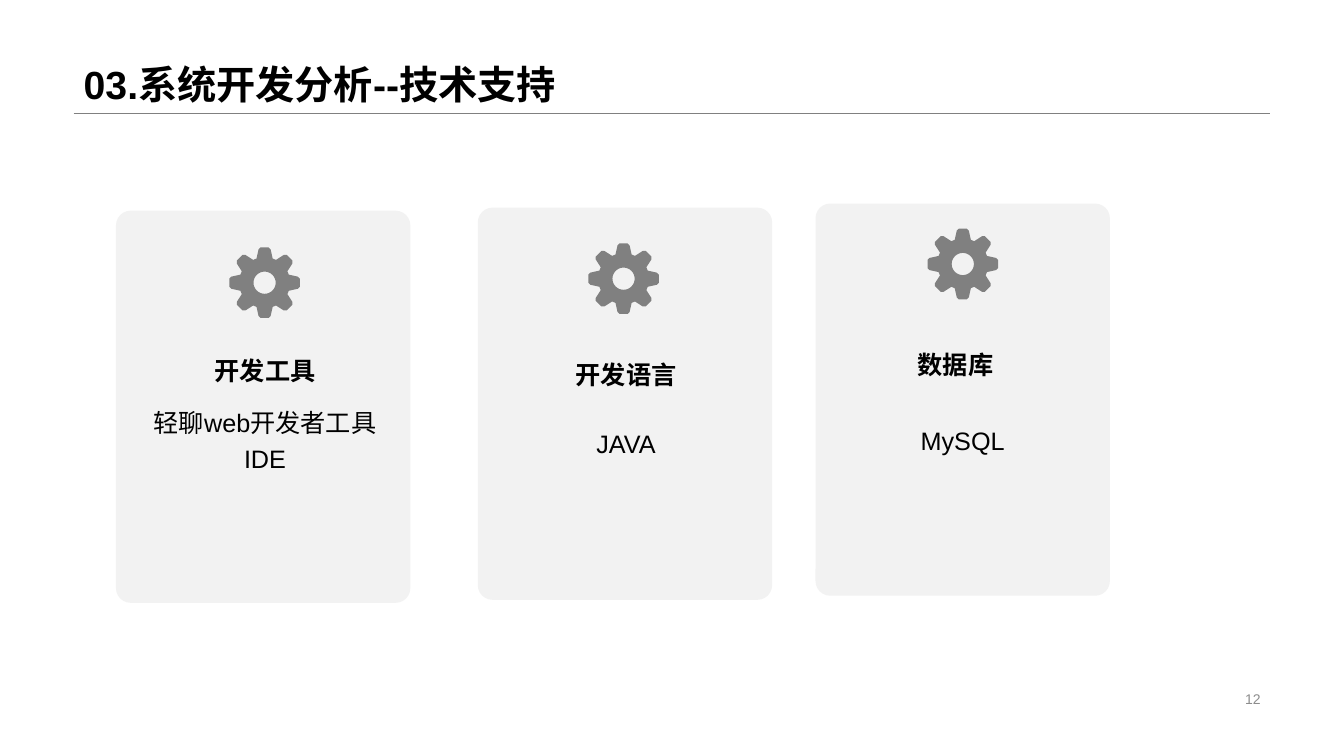
import math

import pptx
import pptx.dml.color
import pptx.enum.shapes
import pptx.enum.text
import pptx.oxml.ns
import pptx.util

RGBColor = pptx.dml.color.RGBColor
ALIGN = pptx.enum.text.PP_ALIGN
ANCHOR = pptx.enum.text.MSO_ANCHOR

BLACK = RGBColor(0x00, 0x00, 0x00)
GRAY = RGBColor(0x80, 0x80, 0x80)
NUMBER_GRAY = RGBColor(0x8C, 0x8C, 0x8C)
CARD_GRAY = RGBColor(0xF2, 0xF2, 0xF2)

FONT = "Arial"
WIDTH = pptx.util.Inches(13.33)
HEIGHT = pptx.util.Inches(7.5)
MARGIN, CONTENT_W, RULE_Y = 5.48, 89.05, 14.93
CARD_W, CARD_H = 21.9, 51.87
HEADING_H, BODY_H = 6.67, 10.93

# One tooth pointing up, in inches from the centre of the gear
TOOTH = [(-0.08, -0.24), (-0.06, -0.33), (-0.04, -0.35),
         (0.04, -0.35), (0.06, -0.33), (0.08, -0.24)]
TEETH = 8
HOLE_RADIUS = 0.11
HOLE_SIDES = 32

# Heading, lines, then (left, top) of card, heading and body, and gear centre
CARDS = [
    ("开发工具", ["轻聊web开发者工具", "IDE"],
     (8.63, 27.87), (8.77, 45.6), (8.77, 52.4), (19.69, 37.4)),
    ("开发语言", ["JAVA"],
     (35.55, 27.47), (35.63, 46.13), (35.63, 52.8), (46.4, 36.87)),
    ("数据库", ["MySQL"],
     (60.68, 26.93), (60.15, 44.93), (60.68, 52.4), (71.64, 34.93)),
]


def across(percent):
    return round(WIDTH * percent / 100)


def down(percent):
    return round(HEIGHT * percent / 100)


def area(left, top, width, height):
    """Turn shares of the slide, in percent, into lengths."""
    return across(left), down(top), across(width), down(height)


def format_paragraph(p, size, color, bold, align, spacing):
    p.alignment = align
    p.line_spacing = spacing
    p.font.name = FONT
    p.font.size = pptx.util.Pt(size)
    p.font.bold = bold
    p.font.color.rgb = color


def add_text(s, box, lines, size=18, color=BLACK, bold=False,
             align=ALIGN.CENTER, spacing=1.0):
    tf = s.shapes.add_textbox(*area(*box)).text_frame
    tf.word_wrap = True
    tf.vertical_anchor = ANCHOR.MIDDLE
    tf.text = "\n".join(lines)
    for p in tf.paragraphs:
        format_paragraph(p, size, color, bold, align, spacing)


def fill_plain(sp, color):
    sp.shadow.inherit = False
    sp.fill.solid()
    sp.fill.fore_color.rgb = color
    sp.line.fill.background()


def set_title(s, text):
    title = s.shapes.title
    title.left, title.top, title.width, title.height = area(
        MARGIN, 0, CONTENT_W, RULE_Y)
    tf = title.text_frame
    tf.text = text
    tf.auto_size = pptx.enum.text.MSO_AUTO_SIZE.NONE
    tf.vertical_anchor = ANCHOR.BOTTOM
    format_paragraph(tf.paragraphs[0], 28, BLACK, True, ALIGN.LEFT, 0.9)


def add_rule(s):
    line = s.shapes.add_connector(
        pptx.enum.shapes.MSO_CONNECTOR.STRAIGHT, across(MARGIN), down(RULE_Y),
        across(MARGIN + CONTENT_W), down(RULE_Y))
    line.line.color.rgb = GRAY
    line.line.width = pptx.util.Pt(0.25)
    pptx.oxml.ns.qn("a:effectLst")
    line._element.spPr.get_or_add_ln().addnext(
        pptx.oxml.parse_xml("<a:effectLst %s/>" % pptx.oxml.ns.nsdecls("a")))


def rotate(point, angle):
    x, y = point
    return (x * math.cos(angle) - y * math.sin(angle),
            x * math.sin(angle) + y * math.cos(angle))


def add_gear(s, center):
    """Draw a toothed wheel with a round hole."""
    def place(points):
        return [(across(center[0]) + pptx.util.Inches(x),
                 down(center[1]) + pptx.util.Inches(y)) for x, y in points]

    rim = place(rotate(point, 2 * math.pi * i / TEETH)
                for i in range(TEETH) for point in TOOTH)
    hole = place(rotate((HOLE_RADIUS, 0), -2 * math.pi * i / HOLE_SIDES)
                 for i in range(HOLE_SIDES))
    builder = s.shapes.build_freeform(*rim[0])
    builder.add_line_segments(rim[1:], close=True)
    builder.move_to(*hole[0])
    builder.add_line_segments(hole[1:], close=True)
    fill_plain(builder.convert_to_shape(), GRAY)


def add_card(s, heading, lines, card_at, heading_at, body_at, gear_at):
    sp = s.shapes.add_shape(pptx.enum.shapes.MSO_SHAPE.ROUNDED_RECTANGLE,
                            *area(*card_at, CARD_W, CARD_H))
    sp.adjustments[0] = 0.05
    fill_plain(sp, CARD_GRAY)
    add_text(s, (*heading_at, CARD_W, HEADING_H), [heading], bold=True)
    add_text(s, (*body_at, CARD_W, BODY_H), lines, spacing=1.2)
    add_gear(s, gear_at)


def main():
    prs = pptx.Presentation()
    prs.slide_width, prs.slide_height = WIDTH, HEIGHT
    s = prs.slides.add_slide(prs.slide_layouts.get_by_name("Title Only"))
    add_rule(s)
    set_title(s, "03.系统开发分析--技术支持")
    add_text(s, (70.67, 90.93, 23.86, 3.07), ["12"], size=10,
             color=NUMBER_GRAY, align=ALIGN.RIGHT)
    for card in CARDS:
        add_card(s, *card)
    prs.save("out.pptx")


if __name__ == "__main__":
    main()
